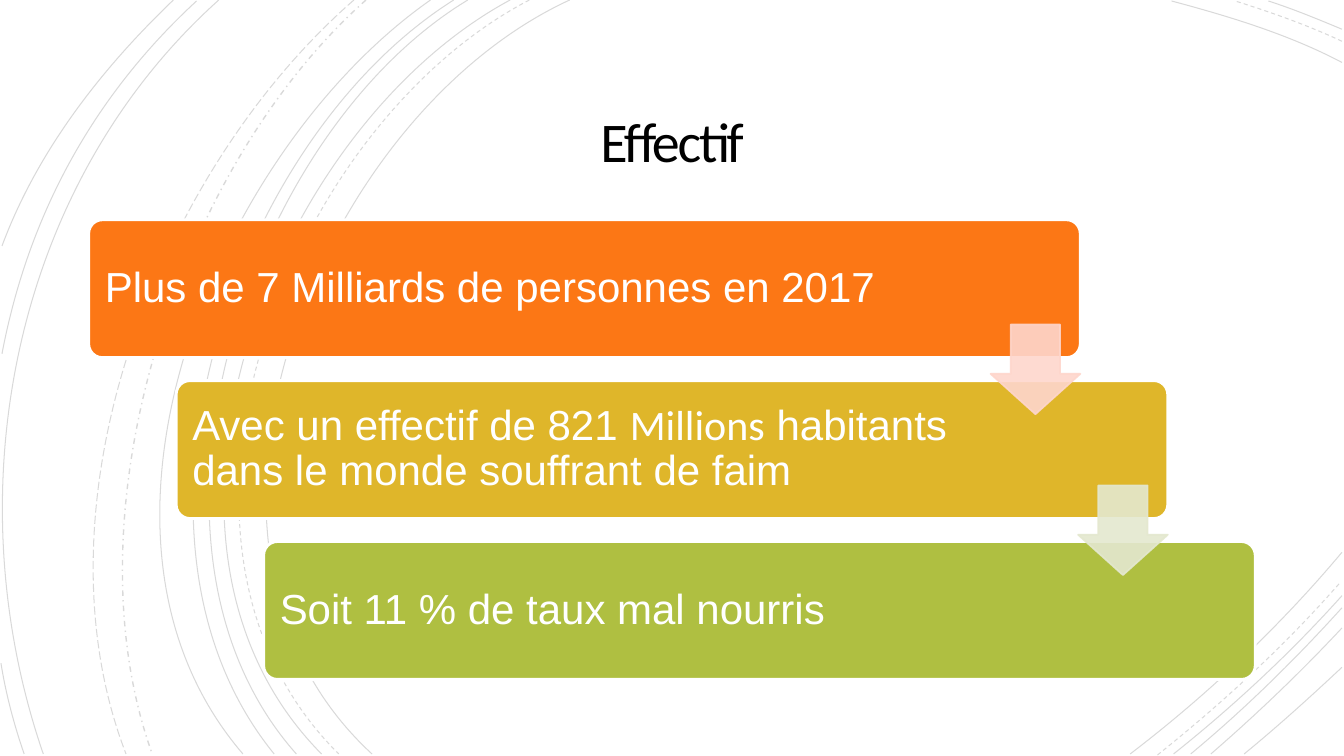
from pptx import Presentation
from pptx import util as u
from pptx.dml.color import RGBColor
from pptx.enum import dml, shapes, text
from pptx.oxml.xmlchemy import OxmlElement

SLIDE_W, SLIDE_H = 13.33, 7.5
SOLID = dml.MSO_LINE.SOLID
DASH = dml.MSO_LINE.DASH
DASH_DOT = dml.MSO_LINE.DASH_DOT
LONG_DASH = dml.MSO_LINE.LONG_DASH

ARCS = [
    ((5.65, 0), (3.15, 1.15), (1.43, 5.4), (3.69, 7.48), SOLID),
    ((5.25, 0), (2.85, 1.25), (1.23, 5.37), (3.36, 7.48), DASH),
    ((5.06, 0), (2.7, 1.27), (1.1, 5.37), (3.19, 7.48), SOLID),
    ((4.64, 0), (2.44, 1.33), (1.1, 5.41), (2.94, 7.48), SOLID),
    ((4.5, 0), (2.31, 1.38), (0.97, 5.33), (2.72, 7.48), SOLID),
    ((4.27, 0), (2.17, 1.47), (0.53, 5.29), (2.41, 7.48), SOLID),
    ((3.63, 0), (1.76, 1.66), (0.65, 5.09), (1.51, 7.48), DASH_DOT),
    ((3.51, 0), (1.57, 1.69), (0.29, 4.99), (1.25, 7.48), LONG_DASH),
    ((2.17, 0), (0.11, 1.85), (-0.46, 4.9), (0.43, 7.48), SOLID),
    ((1.95, 0.01), (0.92, 0.96), (0.28, 2.14), (0.02, 3.51), SOLID),
    ((0.01, 6.58), (0.06, 6.89), (0.14, 7.19), (0.24, 7.48), SOLID),
    ((1.72, 0), (1, 0.69), (0.37, 1.5), (0.02, 2.44), SOLID),
    ((13.31, 0.62), (12.78, 0.34), (12.18, 0.16), (11.62, 0.01), SOLID),
    ((13.31, 0.41), (12.97, 0.25), (12.6, 0.12), (12.25, 0.01), DASH),
    ((13.31, 0.29), (13.07, 0.19), (12.83, 0.09), (12.58, 0.01), SOLID),
    ((11.21, 7.48), (11.97, 6.9), (12.69, 6.22), (13.31, 5.48), SOLID),
    ((11.48, 7.49), (12.13, 6.97), (12.75, 6.4), (13.3, 5.77), DASH),
    ((11.64, 7.48), (12.23, 7.01), (12.8, 6.48), (13.31, 5.91), SOLID),
    ((11.81, 7.48), (12.34, 7.04), (12.84, 6.55), (13.31, 6.03), SOLID),
    ((12.01, 7.48), (12.46, 7.09), (12.9, 6.67), (13.31, 6.23), SOLID),
    ((12.34, 7.48), (12.67, 7.21), (12.99, 6.92), (13.31, 6.62), SOLID),
]

STEPS = [
    ("FC7715", [("Plus de 7 Milliards de personnes en 2017", "Arial")]),
    ("DFB62A", [("Avec un effectif de 821 ", "Arial"), ("Millions", "Calibri"),
                (" habitants dans le monde souffrant de faim", "Arial")]),
    ("AFBF41", [("Soit 11 % de taux mal nourris", "Arial")]),
]
ARROW_COLORS = ["FED6CC", "E4E8CF"]


def paint(fill, color, alpha=100):
    """Fill solidly with a hex colour at an opacity in percent."""
    fill.solid()
    fill.fore_color.rgb = RGBColor.from_string(color)
    if alpha < 100:
        opacity = OxmlElement("a:alpha")
        opacity.set("val", str(alpha * 1000))
        fill._xPr.find(".//{*}srgbClr").append(opacity)


def outline(sp, color, width, alpha=100, dash=SOLID):
    """Set the outline of a shape and remove its shadow."""
    paint(sp.line.fill, color, alpha)
    sp.line.width = u.Pt(width)
    sp.line.dash_style = dash
    sp.shadow.inherit = False


def add_run(p, content, font="Arial", size=30, color="FFFFFF", tracking=0):
    """Add a formatted run to a paragraph."""
    r = p.add_run()
    r.text = content
    r.font.name, r.font.size = font, u.Pt(size)
    paint(r.font.fill, color)
    if tracking:
        r.font._element.set("spc", str(int(tracking * 100)))


def set_frame(tf, left, top, right, bottom):
    """Wrap a text frame, centre it vertically and set its margins."""
    tf.word_wrap = True
    tf.auto_size = text.MSO_AUTO_SIZE.NONE
    tf.vertical_anchor = text.MSO_ANCHOR.MIDDLE
    tf.margin_left, tf.margin_top = u.Inches(left), u.Inches(top)
    tf.margin_right, tf.margin_bottom = u.Inches(right), u.Inches(bottom)


def add_curve(s, controls):
    """Add one cubic curve from its four control points in inches."""
    start, *rest = [(u.Inches(x), u.Inches(y)) for x, y in controls]
    builder = s.shapes.build_freeform(*start)
    builder.add_line_segments(rest, close=False)
    sp = builder.convert_to_shape()
    outline_path = sp._element.find(".//{*}pathLst")[0]
    curve = OxmlElement("a:cubicBezTo")
    for segment in outline_path.findall("{*}lnTo"):
        curve.append(segment[0])
        outline_path.remove(segment)
    outline_path.append(curve)
    sp.fill.background()
    return sp


def add_arcs(s):
    """Draw the faint arcs of the background."""
    for *controls, dash in ARCS:
        sp = add_curve(s, controls)
        outline(sp, "000000", 1 if dash == DASH_DOT else 0.75, 15, dash)


def add_title(s, left, top, width, height):
    """Place the title in its box."""
    sp = s.shapes.title
    sp.left, sp.top = u.Inches(left), u.Inches(top)
    sp.width, sp.height = u.Inches(width), u.Inches(height)
    set_frame(sp.text_frame, 0.25, 0.25, 0.25, 0.25)
    p = sp.text_frame.paragraphs[0]
    p.alignment, p.line_spacing = text.PP_ALIGN.CENTER, 0.85
    add_run(p, "Effectif", font="Calibri", size=40, color="000000", tracking=-1.5)


def add_block(s, kind, box, adjustments, color, alpha=100):
    """Add a filled preset shape in a box given in inches."""
    sp = s.shapes.add_shape(kind, *map(u.Inches, box))
    for i, value in enumerate(adjustments):
        sp.adjustments[i] = value
    paint(sp.fill, color, alpha)
    return sp


def add_staircase(s, left, top, width, height):
    """Draw the descending steps and the arrows between them."""
    step_w, step_h = width * 0.85, height * 0.3
    dx = (width - step_w) / (len(STEPS) - 1)
    dy = (height - step_h) / (len(STEPS) - 1)
    for i, (color, runs) in enumerate(STEPS):
        box = left + i * dx, top + i * dy, step_w, step_h
        sp = add_block(s, shapes.MSO_SHAPE.ROUNDED_RECTANGLE, box, [0.1], color)
        outline(sp, "FFFFFF", 2)
        set_frame(sp.text_frame, 0.12, 0.12, 1.56, 0.12)
        p = sp.text_frame.paragraphs[0]
        p.alignment, p.line_spacing = text.PP_ALIGN.LEFT, 0.9
        for content, font in runs:
            add_run(p, content, font=font)
    side = step_h * 0.65
    for i, color in enumerate(ARROW_COLORS):
        box = (left + step_w + i * dx - side, top + step_h * 0.76 + i * dy, side, side)
        sp = add_block(s, shapes.MSO_SHAPE.DOWN_ARROW, box, [0.55, 0.45], color, 90)
        outline(sp, color, 1.25, 90)


def main():
    """Build and save the slide."""
    prs = Presentation()
    prs.slide_width, prs.slide_height = u.Inches(SLIDE_W), u.Inches(SLIDE_H)
    s = prs.slides.add_slide(prs.slide_layouts[5])
    paint(s.background.fill, "FFFFFF")
    add_arcs(s)
    add_title(s, 1.92, 0.87, 9.49, 1.15)
    add_staircase(s, 0.88, 2.18, 11.57, 4.56)
    prs.save("out.pptx")


if __name__ == "__main__":
    main()
